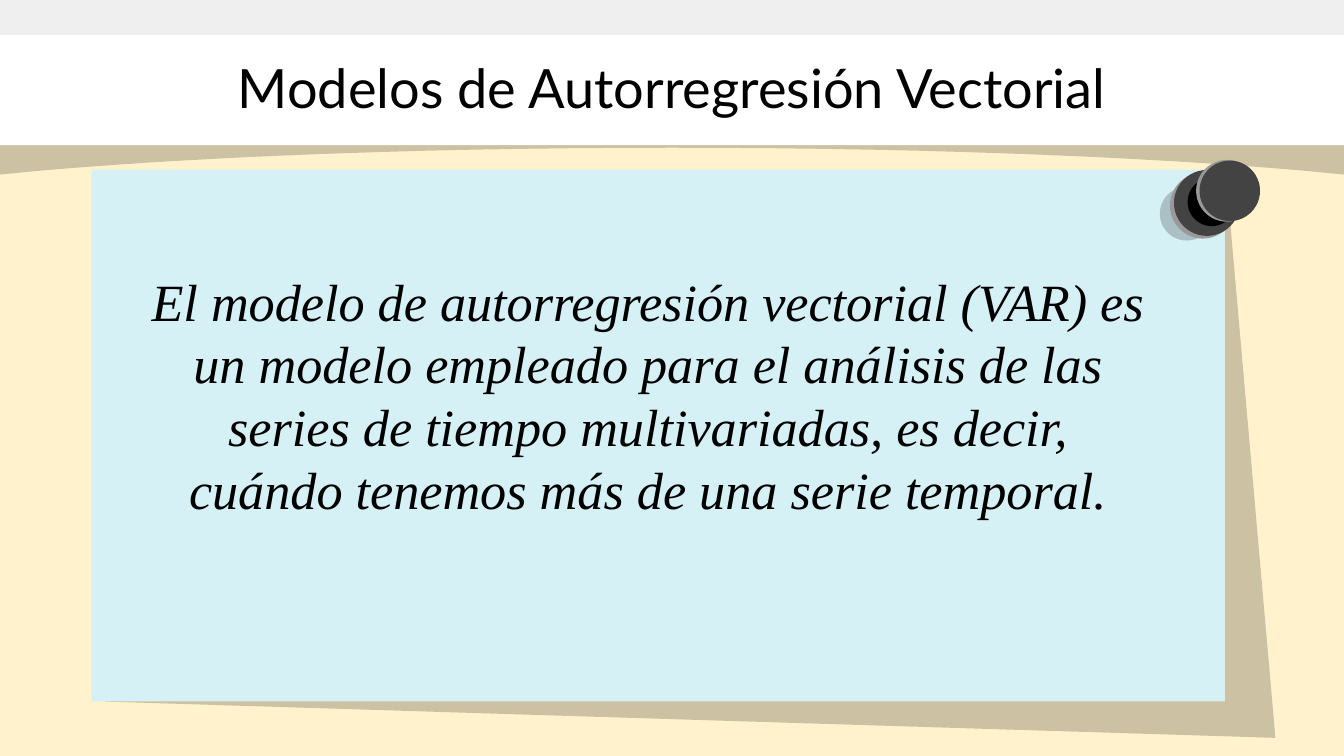
from dataclasses import dataclass
from typing import Optional

import pptx
import pptx.dml.color
import pptx.enum.shapes
import pptx.enum.text
import pptx.oxml
import pptx.oxml.ns
import pptx.util
from lxml import etree

RGBColor = pptx.dml.color.RGBColor
Kind = pptx.enum.shapes.MSO_SHAPE
Anchor = pptx.enum.text.MSO_ANCHOR

CREAM = RGBColor(0xFF, 0xF2, 0xCC)
WHITE = RGBColor(0xFF, 0xFF, 0xFF)
PALE_GREY = RGBColor(0xEF, 0xEF, 0xEF)
PALE_BLUE = RGBColor(0xD6, 0xF1, 0xF6)
GREY = RGBColor(0x99, 0x99, 0x99)
DARK_GREY = RGBColor(0x43, 0x43, 0x43)
BLACK = RGBColor(0x00, 0x00, 0x00)

CELL = pptx.util.Inches(0.1)
COLUMNS = 100
ROWS = 56.25
SHADOW_ALPHA = 20
CURVE_STEPS = 24

Point = tuple[float, float]


@dataclass
class Block:
    column: float
    row: float
    columns: float
    rows: float
    color: RGBColor


@dataclass
class PinPart:
    center: Point
    columns: float
    rows: float
    color: RGBColor
    kind: Kind = Kind.OVAL
    turn: float = 0
    alpha: Optional[int] = None


BANDS = [
    Block(0, 0, COLUMNS, 10.8, WHITE),
    Block(0, 0, COLUMNS, 2.6, PALE_GREY),
]
NOTE = Block(6.8, 12.65, 84.35, 39.55, PALE_BLUE)
NOTE_SHADOW = [(91.2, 12.7), (7.8, 52.2), (94.9, 54.9)]
PIN = [
    PinPart((88.3, 15.9), 4, 4, BLACK, alpha=SHADOW_ALPHA),
    PinPart((89.5, 15.3), 4.9, 4.9, GREY),
    PinPart((89.8, 15.1), 4.9, 4.9, DARK_GREY),
    PinPart((90.9, 14.6), 5.3, 3.6, BLACK, Kind.ROUNDED_RECTANGLE, -30.2),
    PinPart((91.3, 14.2), 4.6, 4.6, GREY),
    PinPart((91.5, 14.2), 4.5, 4.5, DARK_GREY),
]


def cells(count: float) -> int:
    return round(count * CELL)


def paint(shape, color: RGBColor, alpha: Optional[int] = None) -> None:
    shape.shadow.inherit = False
    shape.fill.solid()
    shape.fill.fore_color.rgb = color
    shape.line.fill.background()
    if alpha is not None:
        tint = shape._element.spPr.find(".//" + pptx.oxml.ns.qn("a:srgbClr"))
        etree.SubElement(tint, pptx.oxml.ns.qn("a:alpha"), val=str(alpha * 1000))


def draw_block(page, block: Block) -> None:
    shape = page.shapes.add_shape(
        Kind.RECTANGLE, cells(block.column), cells(block.row),
        cells(block.columns), cells(block.rows))
    paint(shape, block.color)


def draw_shadow(page, points: list[Point]) -> None:
    corners = [(cells(column), cells(row)) for column, row in points]
    builder = page.shapes.build_freeform(*corners[0])
    builder.add_line_segments(corners[1:], close=True)
    paint(builder.convert_to_shape(), BLACK, SHADOW_ALPHA)


def draw_pin_part(page, part: PinPart) -> None:
    column, row = part.center
    shape = page.shapes.add_shape(
        part.kind, cells(column - part.columns / 2), cells(row - part.rows / 2),
        cells(part.columns), cells(part.rows))
    shape.rotation = part.turn
    if part.kind == Kind.ROUNDED_RECTANGLE:
        shape.adjustments[0] = 0.5
    paint(shape, part.color, part.alpha)


def curve(start: Point, pull: Point, push: Point, end: Point) -> list[Point]:
    points = []
    for step in range(CURVE_STEPS + 1):
        t = step / CURVE_STEPS
        weights = ((1 - t) ** 3, 3 * t * (1 - t) ** 2, 3 * t * t * (1 - t), t ** 3)
        points.append(tuple(
            sum(weight * value for weight, value in zip(weights, axis))
            for axis in zip(start, pull, push, end)))
    return points


def add_text(page, text: str, *, column: float, row: float, columns: float,
             rows: float, font: str, size: float, italic: bool = False,
             anchor: Anchor = Anchor.TOP) -> None:
    box = page.shapes.add_textbox(cells(column), cells(row), cells(columns), cells(rows))
    frame = box.text_frame
    frame.word_wrap = True
    frame.vertical_anchor = anchor
    frame.margin_left = frame.margin_right = CELL
    frame.margin_top = frame.margin_bottom = CELL
    para = frame.paragraphs[0]
    para.alignment = pptx.enum.text.PP_ALIGN.CENTER
    span = para.add_run()
    span.text = text
    span.font.name = font
    span.font.size = pptx.util.Pt(size)
    span.font.italic = italic
    span.font.color.rgb = BLACK


def main() -> None:
    deck = pptx.Presentation()
    deck.slide_width = cells(COLUMNS)
    deck.slide_height = cells(ROWS)
    page = deck.slides.add_slide(deck.slide_layouts[6])
    page.background.fill.solid()
    page.background.fill.fore_color.rgb = CREAM

    left_arc = curve((0, 13), (0, 13), (17.4, 11), (50, 11))
    right_arc = [(COLUMNS - column, row) for column, row in reversed(left_arc[:-1])]
    draw_shadow(page, [(0, 10.6), *left_arc, *right_arc, (COLUMNS, 10.6)])
    for band in BANDS:
        draw_block(page, band)

    draw_shadow(page, NOTE_SHADOW)
    draw_block(page, NOTE)
    add_text(
        page,
        "El modelo de autorregresión vectorial (VAR) es un modelo empleado para "
        "el análisis de las series de tiempo multivariadas, es decir, cuándo "
        "tenemos más de una serie temporal.",
        column=9.8, row=19, columns=76.8, rows=31.3,
        font="Times New Roman", size=28, italic=True)
    add_text(
        page, "Modelos de Autorregresión Vectorial",
        column=10.8, row=5.3, columns=78.4, rows=2.3,
        font="Lato", size=29, anchor=Anchor.MIDDLE)
    for part in PIN:
        draw_pin_part(page, part)

    deck.save("out.pptx")


if __name__ == "__main__":
    main()
